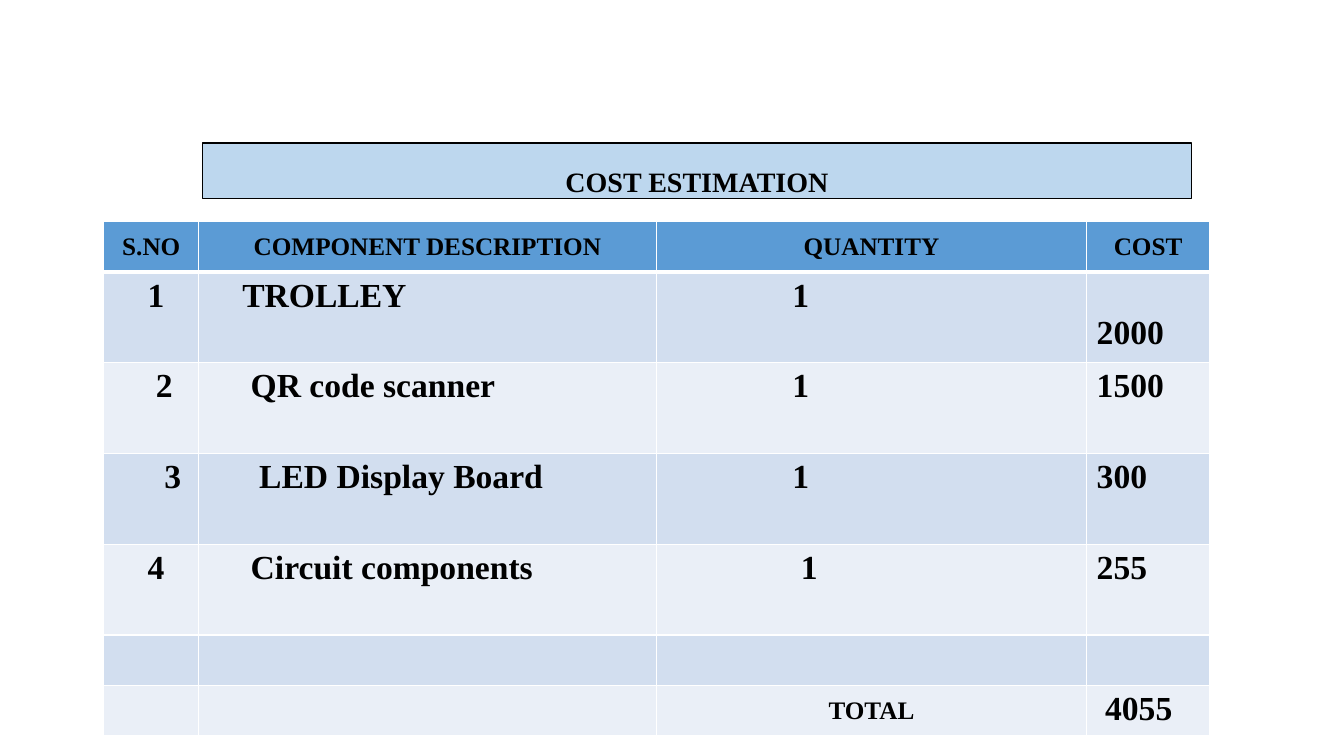
import pptx
import pptx.util
import pptx.dml.color
import pptx.enum.shapes
import pptx.enum.text
import pptx.oxml.ns
from lxml import etree

Pt = pptx.util.Pt
RGB = pptx.dml.color.RGBColor
ALIGN = pptx.enum.text.PP_ALIGN
ANCHOR = pptx.enum.text.MSO_ANCHOR
qn = pptx.oxml.ns.qn

TITLE = "COST ESTIMATION"
HEADS = ["S.NO", "COMPONENT DESCRIPTION", "QUANTITY", "COST"]
# Each entry: text, left indent in points
ITEMS = [
    [("1", 24), ("TROLLEY", 24), ("1", 90), ("2000", 0)],
    [("2", 30), ("QR code scanner", 30), ("1", 90), ("1500", 0)],
    [("3", 36), ("LED Display Board", 36), ("1", 90), ("300", 0)],
    [("4", 24), ("Circuit components", 30), ("1", 96), ("255", 0)],
]
TOTAL = ("TOTAL", "4055")

FONT = "Times New Roman"
BLACK = RGB(0x00, 0x00, 0x00)
WHITE = RGB(0xFF, 0xFF, 0xFF)
SKY = RGB(0xBD, 0xD7, 0xEE)
BLUE = RGB(0x5B, 0x9B, 0xD5)
BANDS = [RGB(0xD2, 0xDE, 0xEF), RGB(0xEA, 0xEF, 0xF7)]

WIDTHS = [67.7, 326.9, 307.4, 87.8]
LOW, TALL = 36, 64.8
HEIGHTS = [LOW] + [TALL] * len(ITEMS) + [LOW, LOW]
PAD = 7.2
DROP = 30  # top margin that puts the first cost on the second line


def write(frame, text, size=24, align=ALIGN.LEFT, space=None):
    par = frame.paragraphs[0]
    par.alignment = align
    if space:
        par.line_spacing = space
    run = par.add_run()
    run.text = text
    run.font.name = FONT
    run.font.size = Pt(size)
    run.font.bold = True
    run.font.color.rgb = BLACK


def edge(cell, side, width):
    """Draw one white cell border; side is L, R, T or B."""
    line = etree.SubElement(cell._tc.get_or_add_tcPr(), qn("a:ln" + side),
                            w=str(Pt(width)))
    fill = etree.SubElement(line, qn("a:solidFill"))
    etree.SubElement(fill, qn("a:srgbClr"), val=str(WHITE))


def add_title(slide):
    box = slide.shapes.add_shape(pptx.enum.shapes.MSO_SHAPE.RECTANGLE,
                                 Pt(144.7), Pt(102.2), Pt(706.3), Pt(39.6))
    box.shadow.inherit = False
    box.fill.solid()
    box.fill.fore_color.rgb = SKY
    box.line.color.rgb = BLACK
    box.line.width = Pt(1)
    frame = box.text_frame
    frame.word_wrap = True
    frame.vertical_anchor = ANCHOR.TOP
    frame.auto_size = pptx.enum.text.MSO_AUTO_SIZE.SHAPE_TO_FIT_TEXT
    write(frame, TITLE, size=20, align=ALIGN.CENTER, space=1.5)


def add_costs(slide):
    table = slide.shapes.add_table(
        len(HEIGHTS), len(WIDTHS), Pt(74.2), Pt(158.4),
        Pt(sum(WIDTHS)), Pt(sum(HEIGHTS))).table
    for col, width in zip(table.columns, WIDTHS):
        col.width = Pt(width)
    for num, (row, height) in enumerate(zip(table.rows, HEIGHTS)):
        row.height = Pt(height)
        for cell in row.cells:
            edge(cell, "L", 1)
            edge(cell, "R", 1)
            edge(cell, "T", 3 if num == 1 else 1)
            edge(cell, "B", 3 if num == 0 else 1)
            cell.fill.solid()
            cell.fill.fore_color.rgb = BANDS[(num - 1) % 2] if num else BLUE

    last = len(HEIGHTS) - 1
    labels = [(0, col, head) for col, head in enumerate(HEADS)]
    for num, col, text in labels + [(last, 2, TOTAL[0])]:
        cell = table.cell(num, col)
        cell.vertical_anchor = ANCHOR.MIDDLE
        write(cell.text_frame, text, size=18, align=ALIGN.CENTER)

    values = [(num, col, *item) for num, row in enumerate(ITEMS, 1)
              for col, item in enumerate(row)]
    for num, col, text, indent in values + [(last, 3, TOTAL[1], 6)]:
        cell = table.cell(num, col)
        cell.margin_left = Pt(PAD + indent)
        write(cell.text_frame, text)
    table.cell(1, 3).margin_top = Pt(DROP)


def main():
    deck = pptx.Presentation()
    deck.slide_width, deck.slide_height = Pt(960), Pt(540)
    slide = deck.slides.add_slide(deck.slide_layouts[6])
    add_title(slide)
    add_costs(slide)
    deck.save("out.pptx")


if __name__ == "__main__":
    main()
